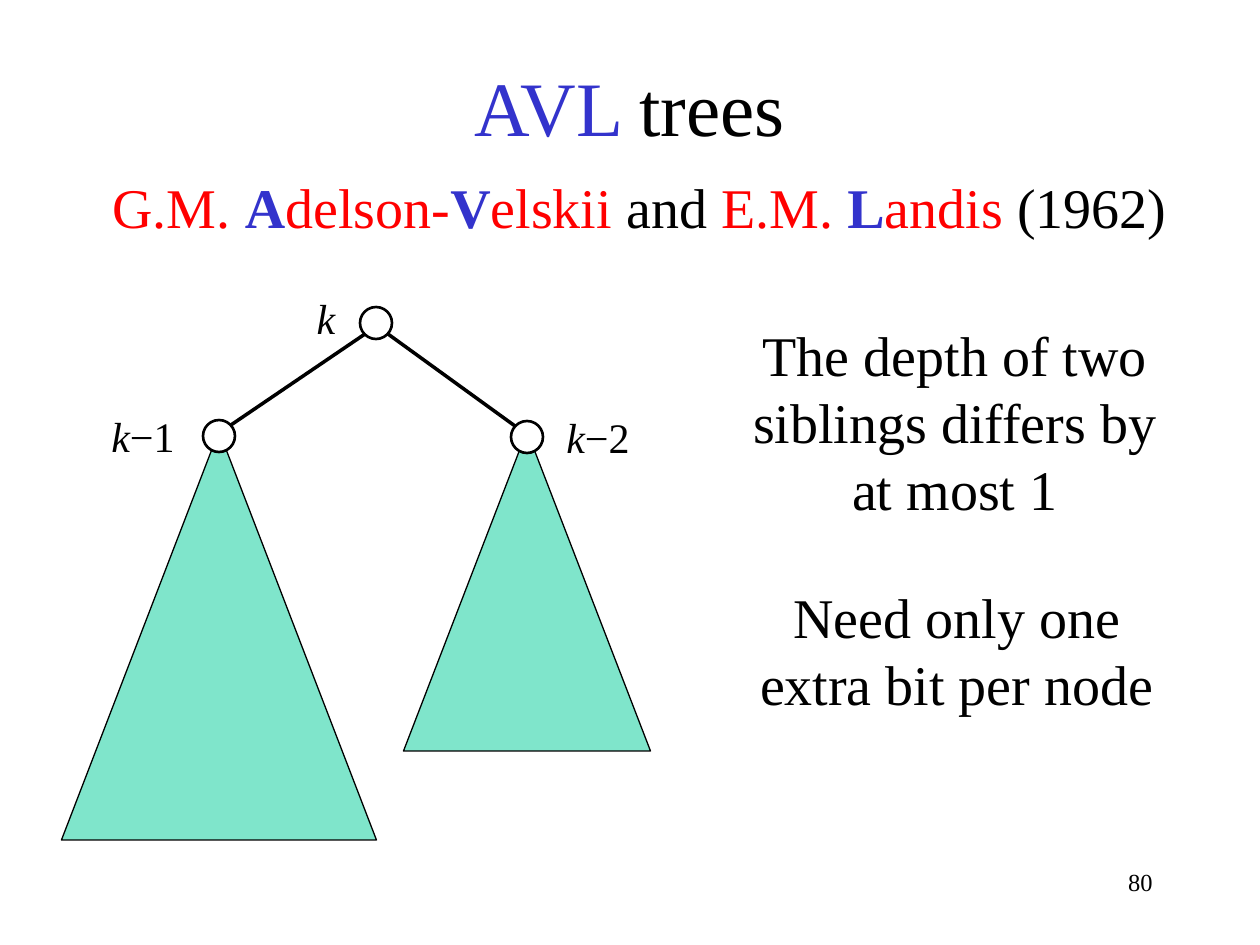
from lxml import etree
from pptx import Presentation
from pptx import util as u
from pptx.dml.color import RGBColor
from pptx.enum import shapes, text
from pptx.oxml import ns

PX = 914400 / 126
FONT = "Times New Roman"
BLACK = RGBColor(0x00, 0x00, 0x00)
WHITE = RGBColor(0xFF, 0xFF, 0xFF)
BLUE = RGBColor(0x33, 0x33, 0xCC)
RED = RGBColor(0xFF, 0x00, 0x00)
GREEN = RGBColor(0x00, 0xCC, 0x99)
CENTER, RIGHT = text.PP_ALIGN.CENTER, text.PP_ALIGN.RIGHT
NODE = 32


def px(*lengths):
    return [u.Emu(round(length * PX)) for length in lengths]


def add_span(para, words, size, color=BLACK, bold=False, italic=False):
    span = para.add_run()
    span.text = words
    font = span.font
    font.name, font.size, font.color.rgb = FONT, u.Pt(size), color
    font.bold, font.italic = bold, italic


def add_box(page, left, top, width, height, align=CENTER):
    """Add an empty text box and return its paragraph."""
    box = page.shapes.add_textbox(*px(left, top, width, height))
    box.text_frame.word_wrap = True
    para = box.text_frame.paragraphs[0]
    para.alignment = align
    return para


def add_title(page):
    para = add_box(page, 0, 53, 1260, 217)
    add_span(para, "AVL ", 44, BLUE)
    add_span(para, "trees", 44)
    para.add_line_break()
    add_span(para, " ", 44)
    for words, color in (
        ("G.M. ", RED), ("A", BLUE), ("delson-", RED), ("V", BLUE),
        ("elskii ", RED), ("and", BLACK), (" E.M. ", RED), ("L", BLUE),
        ("andis ", RED), ("(1962)", BLACK),
    ):
        add_span(para, words, 32, color, bold=color == BLUE)


def add_outlined(page, kind, bounds, fill, line_width):
    shape = page.shapes.add_shape(kind, *px(*bounds))
    shape.shadow.inherit = False
    shape.fill.solid()
    shape.fill.fore_color.rgb = fill
    shape.line.color.rgb = BLACK
    shape.line.width = u.Pt(line_width)
    return shape


def add_subtree(page, center, width, height):
    """Add a half-transparent triangle whose tip lies under a node."""
    bounds = (center - width / 2, 431, width, height)
    shape = add_outlined(page, shapes.MSO_SHAPE.ISOSCELES_TRIANGLE, bounds, GREEN, 0.75)
    color = shape.fill._xPr.find(".//" + ns.qn("a:srgbClr"))
    etree.SubElement(color, ns.qn("a:alpha"), val="50000")


def add_node(page, x, y):
    bounds = (x - NODE / 2, y - NODE / 2, NODE, NODE)
    add_outlined(page, shapes.MSO_SHAPE.OVAL, bounds, WHITE, 1.5)


def add_edge(page, *ends):
    edge = page.shapes.add_connector(shapes.MSO_CONNECTOR.STRAIGHT, *px(*ends))
    edge.line.color.rgb = BLACK
    edge.line.width = u.Pt(2)
    etree.SubElement(edge._element.spPr, ns.qn("a:effectLst"))


def add_depth(page, left, top, offset=""):
    para = add_box(page, left, top, 112, 63)
    add_span(para, "k", 24, italic=True)
    if offset:
        add_span(para, offset, 24)


def add_tree(page):
    root, left, right = (376, 323), (219, 436), (527, 437)
    add_subtree(page, left[0], 315, 409)
    add_subtree(page, right[0], 247, 320)
    for node in (left, right, root):
        add_node(page, *node)
    add_edge(page, 365, 334, 231, 425)
    add_edge(page, 388, 334, 515, 426)
    add_depth(page, 87, 404, "−1")
    add_depth(page, 542, 405, "−2")
    add_depth(page, 270, 286)


def main():
    deck = Presentation()
    deck.slide_width, deck.slide_height = px(1260, 945)
    page = deck.slides.add_slide(deck.slide_layouts[6])
    add_span(add_box(page, 903, 861, 262, 63, RIGHT), "80", 14)
    add_title(page)
    add_tree(page)
    add_span(add_box(page, 736, 314, 438, 217),
             "The depth of two siblings differs by at most 1", 32)
    add_span(add_box(page, 738, 576, 438, 149),
             "Need only one extra bit per node", 32)
    deck.save("out.pptx")


if __name__ == "__main__":
    main()
